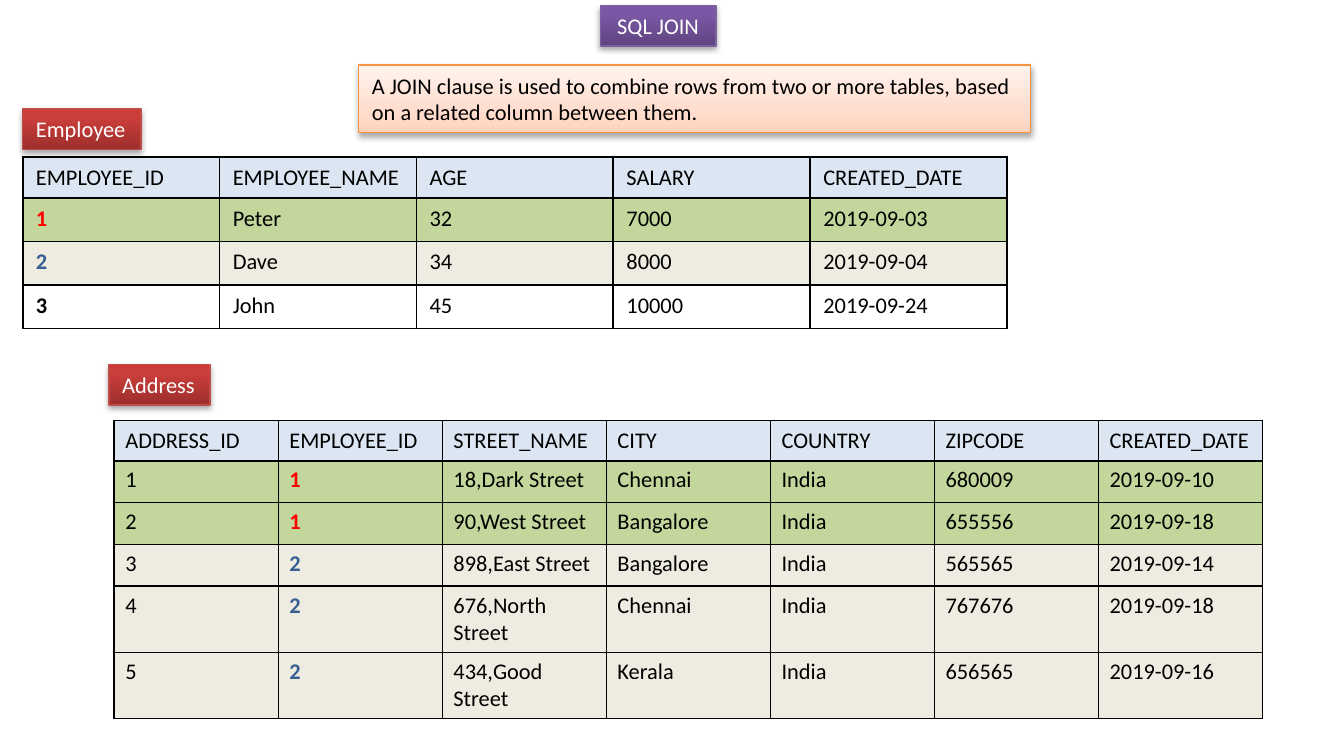
"""Build a slide that explains SQL JOIN with an employee and an address table."""
from pptx import Presentation
from pptx.dml.color import RGBColor
from pptx.enum.shapes import MSO_SHAPE
from pptx.enum.text import MSO_ANCHOR, MSO_AUTO_SIZE, PP_ALIGN
from pptx.oxml import parse_xml
from pptx.oxml.ns import nsdecls
from pptx.util import Cm, Pt

BLACK = RGBColor(0x00, 0x00, 0x00)
WHITE = RGBColor(0xFF, 0xFF, 0xFF)
HEADER_BLUE = RGBColor(0xDC, 0xE6, 0xF2)
GREEN = RGBColor(0xC3, 0xD6, 0x9B)
BEIGE = RGBColor(0xEE, 0xEC, 0xE1)
KEY_RED = RGBColor(0xFF, 0x00, 0x00)
KEY_BLUE = RGBColor(0x37, 0x60, 0x92)
PURPLE_LINE = RGBColor(0x7D, 0x60, 0xA0)
RED_LINE = RGBColor(0xBF, 0x4C, 0x48)
ORANGE_LINE = RGBColor(0xF6, 0x92, 0x40)
PURPLE_STOPS = [
    (0, RGBColor(0x5F, 0x44, 0x80)),
    (80, RGBColor(0x7B, 0x58, 0xA6)),
    (100, RGBColor(0x7C, 0x57, 0xA8)),
]
RED_STOPS = [
    (0, RGBColor(0x9C, 0x2F, 0x2D)),
    (80, RGBColor(0xCB, 0x3E, 0x3A)),
    (100, RGBColor(0xCE, 0x3B, 0x37)),
]
ORANGE_STOPS = [
    (0, RGBColor(0xFF, 0xD2, 0xBD)),
    (35, RGBColor(0xFF, 0xDE, 0xD0)),
    (100, RGBColor(0xFF, 0xF2, 0xED)),
]
ROW_COLORS = {"1": (GREEN, KEY_RED), "2": (BEIGE, KEY_BLUE), "3": (WHITE, BLACK)}

employees = [
    ["EMPLOYEE_ID", "EMPLOYEE_NAME", "AGE", "SALARY", "CREATED_DATE"],
    ["1", "Peter", "32", "7000", "2019-09-03"],
    ["2", "Dave", "34", "8000", "2019-09-04"],
    ["3", "John", "45", "10000", "2019-09-24"],
]
addresses = [
    ["ADDRESS_ID", "EMPLOYEE_ID", "STREET_NAME", "CITY", "COUNTRY", "ZIPCODE", "CREATED_DATE"],
    ["1", "1", "18,Dark Street", "Chennai", "India", "680009", "2019-09-10"],
    ["2", "1", "90,West Street", "Bangalore", "India", "655556", "2019-09-18"],
    ["3", "2", "898,East Street", "Bangalore", "India", "565565", "2019-09-14"],
    ["4", "2", "676,North Street", "Chennai", "India", "767676", "2019-09-18"],
    ["5", "2", "434,Good Street", "Kerala", "India", "656565", "2019-09-16"],
]


def set_font(paragraph, color, bold=False):
    paragraph.font.name = "Calibri"
    paragraph.font.size = Pt(12)
    paragraph.font.bold = bold
    paragraph.font.color.rgb = color


deck = Presentation()
deck.slide_width = Cm(25.4)
deck.slide_height = Cm(13.97)
page = deck.slides.add_slide(deck.slide_layouts[6])

tables = [
    (employees, 0.43, 2.97, 3.72, [0.76] + [0.82] * 3, 0.25, 0.13),
    (addresses, 2.16, 7.95, 3.1, [0.76] + [0.79] * 3 + [1.25] * 2, 0.21, 0.11),
]
for records, left, top, column_width, heights, side_margin, end_margin in tables:
    columns = len(records[0])
    frame = page.shapes.add_table(
        len(records), columns, Cm(left), Cm(top), Cm(column_width * columns), Cm(sum(heights))
    )
    table = frame.table
    table.first_row = table.horz_banding = False
    key_column = records[0].index("EMPLOYEE_ID")
    for column in table.columns:
        column.width = Cm(column_width)
    for row_index, (record, height) in enumerate(zip(records, heights)):
        table.rows[row_index].height = Cm(height)
        row_fill, key_color = ROW_COLORS.get(record[key_column], (HEADER_BLUE, BLACK))
        for column_index, value in enumerate(record):
            cell = table.cell(row_index, column_index)
            cell.text = value
            cell.margin_left = cell.margin_right = Cm(side_margin)
            cell.margin_top = cell.margin_bottom = Cm(end_margin)
            cell.vertical_anchor = MSO_ANCHOR.TOP if row_index else MSO_ANCHOR.MIDDLE
            is_key = row_index > 0 and column_index == key_column
            set_font(cell.text_frame.paragraphs[0], key_color if is_key else BLACK, is_key)
            properties = cell._tc.get_or_add_tcPr()
            for side in ("lnL", "lnR", "lnT", "lnB"):
                properties.append(parse_xml(
                    f'<a:{side} {nsdecls("a")} w="12700"><a:solidFill>'
                    f'<a:srgbClr val="{BLACK}"/></a:solidFill></a:{side}>'
                ))
            cell.fill.solid()
            cell.fill.fore_color.rgb = row_fill

definition = (
    "A JOIN clause is used to combine rows from two or more tables, "
    "based on a related column between them."
)
boxes = [
    ("SQL JOIN", 11.35, 0.1, 2.18, 0.77, PURPLE_STOPS, PURPLE_LINE, WHITE, PP_ALIGN.CENTER, True),
    ("Employee", 0.43, 2.06, 2.24, 0.77, RED_STOPS, RED_LINE, WHITE, PP_ALIGN.LEFT, False),
    ("Address", 2.06, 6.89, 1.91, 0.77, RED_STOPS, RED_LINE, WHITE, PP_ALIGN.LEFT, False),
    (definition, 6.78, 1.23, 12.7, 1.28, ORANGE_STOPS, ORANGE_LINE, BLACK, PP_ALIGN.LEFT, True),
]
for text, left, top, width, height, stops, line_color, text_color, alignment, wrap in boxes:
    box = page.shapes.add_shape(MSO_SHAPE.RECTANGLE, Cm(left), Cm(top), Cm(width), Cm(height))
    box.line.color.rgb = line_color
    box.line.width = Pt(0.75)
    stop_xml = "".join(
        f'<a:gs pos="{position * 1000}"><a:srgbClr val="{color}"/></a:gs>'
        for position, color in stops
    )
    box._element.spPr.insert(2, parse_xml(
        f'<a:gradFill {nsdecls("a")} rotWithShape="1"><a:gsLst>{stop_xml}</a:gsLst>'
        '<a:lin ang="16200000" scaled="0"/></a:gradFill>'
    ))
    box._element.spPr.append(parse_xml(
        f'<a:effectLst {nsdecls("a")}><a:outerShdw blurRad="40000" dist="23000" dir="5400000" '
        f'rotWithShape="0"><a:srgbClr val="{BLACK}"><a:alpha val="35000"/></a:srgbClr>'
        '</a:outerShdw></a:effectLst>'
    ))
    box.text_frame.word_wrap = wrap
    box.text_frame.auto_size = MSO_AUTO_SIZE.SHAPE_TO_FIT_TEXT
    box.text_frame.vertical_anchor = MSO_ANCHOR.TOP
    paragraph = box.text_frame.paragraphs[0]
    paragraph.text = text
    paragraph.alignment = alignment
    set_font(paragraph, text_color)

deck.save("out.pptx")
